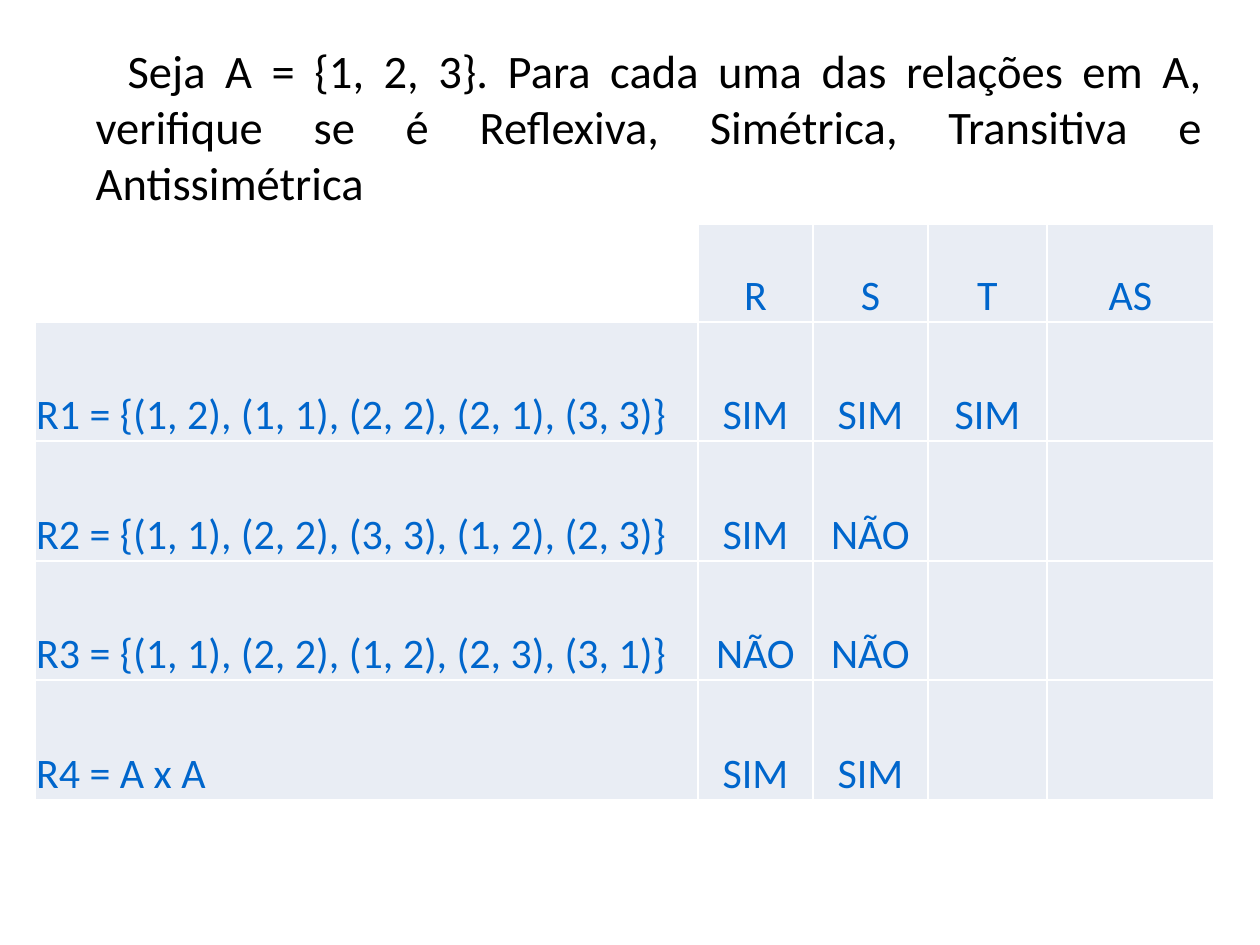
from lxml.etree import SubElement
from pptx import Presentation
from pptx.dml.color import RGBColor
from pptx.enum.text import MSO_ANCHOR, MSO_AUTO_SIZE, PP_ALIGN
from pptx.oxml.ns import qn
from pptx.util import Emu, Pt

PX = 914400 // 126
BLACK = RGBColor(0x00, 0x00, 0x00)
WHITE = RGBColor(0xFF, 0xFF, 0xFF)
BLUE = RGBColor(0x00, 0x66, 0xCC)
PALE = RGBColor(0xE9, 0xED, 0xF4)

STATEMENT = (
    "Seja A = {1, 2, 3}. Para cada uma das relações em A, verifique se é "
    "Reflexiva, Simétrica, Transitiva e Antissimétrica"
)
COLUMNS = [663, 115, 115, 119, 167]
ROWS = [98, 119, 120, 119, 120]
ANSWERS = [
    ["", "R", "S", "T", "AS"],
    ["R1 = {(1, 2), (1, 1), (2, 2), (2, 1), (3, 3)}", "SIM", "SIM", "SIM", ""],
    ["R2 = {(1, 1), (2, 2), (3, 3), (1, 2), (2, 3)}", "SIM", "NÃO", "", ""],
    ["R3 = {(1, 1), (2, 2), (1, 2), (2, 3), (3, 1)}", "NÃO", "NÃO", "", ""],
    ["R4 = A x A", "SIM", "SIM", "", ""],
]


def px(length):
    return Emu(length * PX)


class SlideBuilder:
    font = "Calibri"

    def __init__(self, slide):
        self.slide = slide

    def add_span(self, para, text, size, color):
        span = para.add_run()
        span.text = text
        span.font.name = self.font
        span.font.size = Pt(size)
        span.font.color.rgb = color

    def statement(self, text, left, top, width, height):
        box = self.slide.placeholders[1]
        box.left, box.top, box.width, box.height = map(px, (left, top, width, height))
        frame = box.text_frame
        frame.auto_size = MSO_AUTO_SIZE.NONE
        frame.margin_top = px(13)
        para = frame.paragraphs[0]
        para.alignment = PP_ALIGN.JUSTIFY
        para.space_before = Pt(0)
        properties = para._p.get_or_add_pPr()
        properties.set("marL", str(px(48)))
        properties.set("indent", str(px(32)))
        SubElement(properties, qn("a:buNone"))
        self.add_span(para, text, 26.6, BLACK)

    def border(self, cell):
        properties = cell._tc.get_or_add_tcPr()
        for position, side in enumerate(("lnL", "lnR", "lnT", "lnB")):
            line = SubElement(properties, qn("a:" + side), w=str(Pt(1)))
            fill = SubElement(line, qn("a:solidFill"))
            SubElement(fill, qn("a:srgbClr"), val=str(WHITE))
            properties.insert(position, line)

    def cell(self, cell, text, align, fill):
        cell.fill.solid()
        cell.fill.fore_color.rgb = fill
        cell.vertical_anchor = MSO_ANCHOR.BOTTOM
        cell.margin_left = cell.margin_right = cell.margin_top = px(1)
        cell.margin_bottom = 0
        self.border(cell)
        if text:
            para = cell.text_frame.paragraphs[0]
            para.alignment = align
            self.add_span(para, text, 24, BLUE)

    def table(self, rows, left, top, widths, heights):
        table = self.slide.shapes.add_table(
            len(heights), len(widths), px(left), px(top), px(sum(widths)), px(sum(heights))
        ).table
        table.first_row = table.horz_banding = False
        for column, width in zip(table.columns, widths):
            column.width = px(width)
        for row, height in zip(table.rows, heights):
            row.height = px(height)
        for r, texts in enumerate(rows):
            for c, text in enumerate(texts):
                align = PP_ALIGN.CENTER if c else PP_ALIGN.LEFT
                fill = PALE if r or c else WHITE
                self.cell(table.cell(r, c), text, align, fill)


def main():
    deck = Presentation()
    deck.slide_width, deck.slide_height = px(1260), px(945)
    page = deck.slides.add_slide(deck.slide_layouts[1])
    title = page.shapes.title._element
    title.getparent().remove(title)
    builder = SlideBuilder(page)
    builder.statement(STATEMENT, 35, 29, 1181, 214)
    builder.table(ANSWERS, 35, 224, COLUMNS, ROWS)
    deck.save("out.pptx")


if __name__ == "__main__":
    main()
